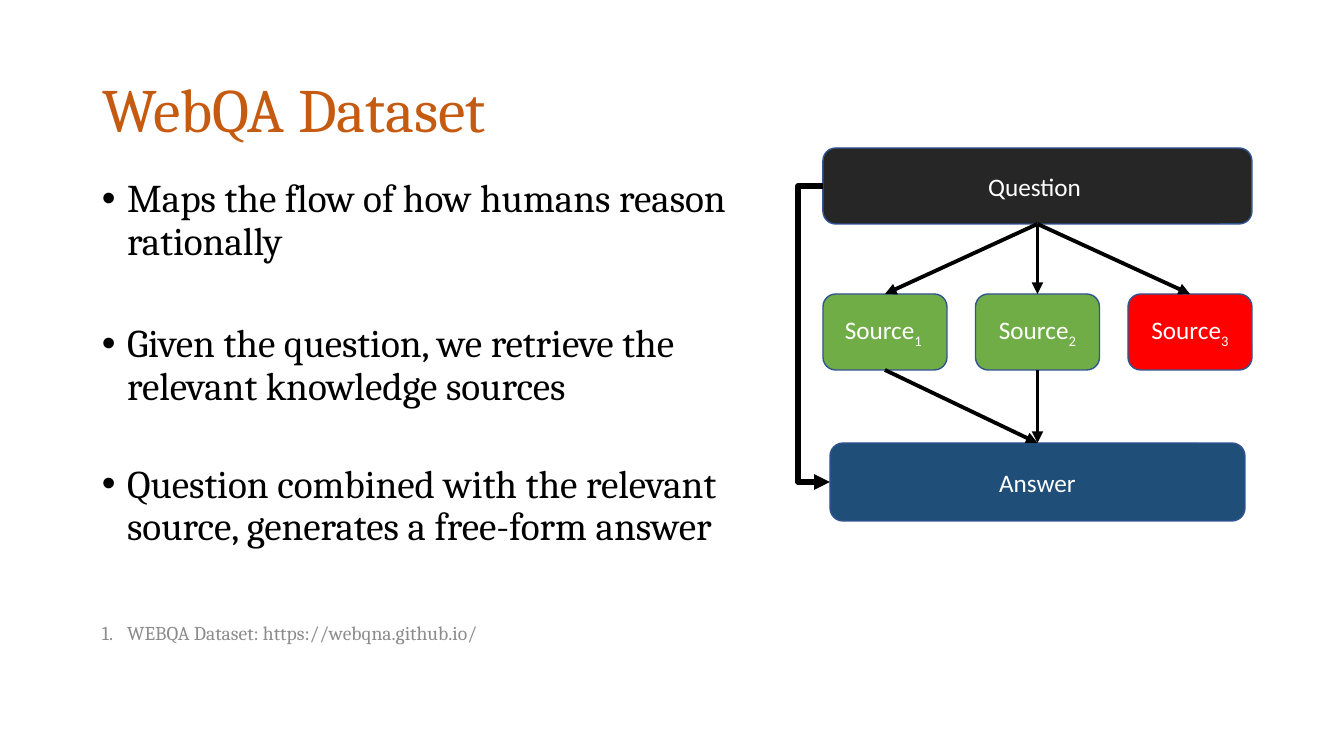
from lxml.etree import SubElement
from pptx import Presentation
from pptx.dml.color import RGBColor
from pptx.enum.shapes import MSO_CONNECTOR as Link, MSO_SHAPE as Shape
from pptx.enum.text import MSO_ANCHOR as Anchor, PP_ALIGN as Align
from pptx.oxml.ns import qn
from pptx.util import Pt

COLORS = {
    "title": "C55A11", "text": "000000", "note": "8C8C8C", "label": "FFFFFF",
    "question": "262626", "found": "70AD47", "rejected": "FF0000",
    "answer": "1F4E79", "outline": "325491", "arrow": "000000",
}
TOP, LEFT, BOTTOM = 0, 1, 2  # connection sites of a rounded rectangle


def rgb(name):
    return RGBColor.from_string(COLORS[name])


def add_text(para, text, size=18, font="Calibri", color="label", subscript=False):
    span = para.add_run()
    span.text = text
    span.font.size = Pt(size)
    span.font.name = font
    span.font.color.rgb = rgb(color)
    if subscript:
        span._r.get_or_add_rPr().set("baseline", "-25000")


class SlideBuilder:
    serif = "Cambria"
    scale = 914400 / 100.8  # EMU in one px

    def __init__(self, deck):
        self.page = deck.slides.add_slide(deck.slide_layouts[5])

    @classmethod
    def px(cls, *lengths):
        return [round(length * cls.scale) for length in lengths]

    def title(self, text, *place):
        box = self.page.shapes.title
        box.left, box.top, box.width, box.height = self.px(*place)
        box.text_frame.vertical_anchor = Anchor.MIDDLE
        para = box.text_frame.paragraphs[0]
        para.alignment = Align.LEFT
        para.line_spacing = 0.9
        add_text(para, text, size=44, font=self.serif, color="title")

    def bullet_list(self, items, *place, size, color, bullet, anchor=Anchor.TOP, spacing=1.0):
        """Each item is a text with the space before it in points."""
        frame = self.page.shapes.add_textbox(*self.px(*place)).text_frame
        frame.word_wrap = True
        frame.vertical_anchor = anchor
        for index, (text, gap) in enumerate(items):
            para = frame.add_paragraph() if index else frame.paragraphs[0]
            para.line_spacing = spacing
            para.space_before = Pt(gap)
            props = para._p.get_or_add_pPr()
            props.set("marL", "228600")
            props.set("indent", "-228600")
            tag, settings = bullet
            if tag == "a:buChar":
                SubElement(props, qn("a:buFont"), typeface="Arial")
            SubElement(props, qn(tag), **settings)
            add_text(para, text, size=size, font=self.serif, color=color)

    def node(self, text, *place, fill, index=""):
        box = self.page.shapes.add_shape(Shape.ROUNDED_RECTANGLE, *self.px(*place))
        box.shadow.inherit = False
        box.fill.solid()
        box.fill.fore_color.rgb = rgb(fill)
        box.line.color.rgb = rgb("outline")
        box.line.width = Pt(1)
        box.text_frame.vertical_anchor = Anchor.MIDDLE
        para = box.text_frame.paragraphs[0]
        para.alignment = Align.CENTER
        add_text(para, text)
        if index:
            add_text(para, index, subscript=True)
        return box

    def arrow(self, start, start_site, end, end_site, width=2.75, bend=None):
        """A bend is the x of the middle segment of an elbow, in px."""
        kind = Link.STRAIGHT if bend is None else Link.ELBOW
        link = self.page.shapes.add_connector(kind, 0, 0, 0, 0)
        link.begin_connect(start, start_site)
        link.end_connect(end, end_site)
        link.line.color.rgb = rgb("arrow")
        link.line.width = Pt(width)
        props = link._element.spPr
        SubElement(props.find(qn("a:ln")), qn("a:tailEnd"), type="triangle")
        SubElement(props, qn("a:effectLst"))
        if bend is not None:
            share = (self.px(bend)[0] - link.begin_x) / (link.end_x - link.begin_x)
            geometry = props.find(qn("a:prstGeom"))
            guides = geometry.find(qn("a:avLst"))
            if guides is None:
                guides = SubElement(geometry, qn("a:avLst"))
            SubElement(guides, qn("a:gd"), name="adj1", fmla=f"val {round(share * 100000)}")


def main():
    deck = Presentation()
    deck.slide_width, deck.slide_height = SlideBuilder.px(1344, 756)
    slide = SlideBuilder(deck)

    # Title, main points and footnote
    slide.title("WebQA Dataset", 92, 40, 1160, 146)
    points = [
        ("Maps the flow of how humans reason rationally", 0),
        ("Given the question, we retrieve the relevant knowledge sources", 43),
        ("Question combined with the relevant source, generates a free-form answer", 40),
    ]
    slide.bullet_list(points, 92, 174, 670, 480, size=28, color="text",
                      bullet=("a:buChar", {"char": "•"}), spacing=0.9)
    slide.bullet_list([("WEBQA Dataset: https://webqna.github.io/", 0)],
                      92, 582, 580, 102, size=14, color="note",
                      bullet=("a:buAutoNum", {"type": "arabicPeriod"}), anchor=Anchor.MIDDLE)

    # Boxes of the flow, with the sources spread under the question
    left, width, source_width = 823, 429, 124
    pitch = (width - source_width) / 2
    question = slide.node("Question ", left, 148, width, 76, fill="question")
    sources = [
        slide.node("Source", left + column * pitch, 294, source_width, 76,
                   fill=fill, index=index)
        for column, (index, fill) in enumerate(
            [("1 ", "found"), ("2", "found"), ("3", "rejected")])
    ]
    answer = slide.node("Answer", 830, 443, 415, 78, fill="answer")

    # Arrows
    for source in sources:
        slide.arrow(question, BOTTOM, source, TOP)
    for source in sources[:2]:
        slide.arrow(source, BOTTOM, answer, TOP)
    slide.arrow(question, LEFT, answer, LEFT, width=3.75, bend=798)

    deck.save("out.pptx")


if __name__ == "__main__":
    main()
